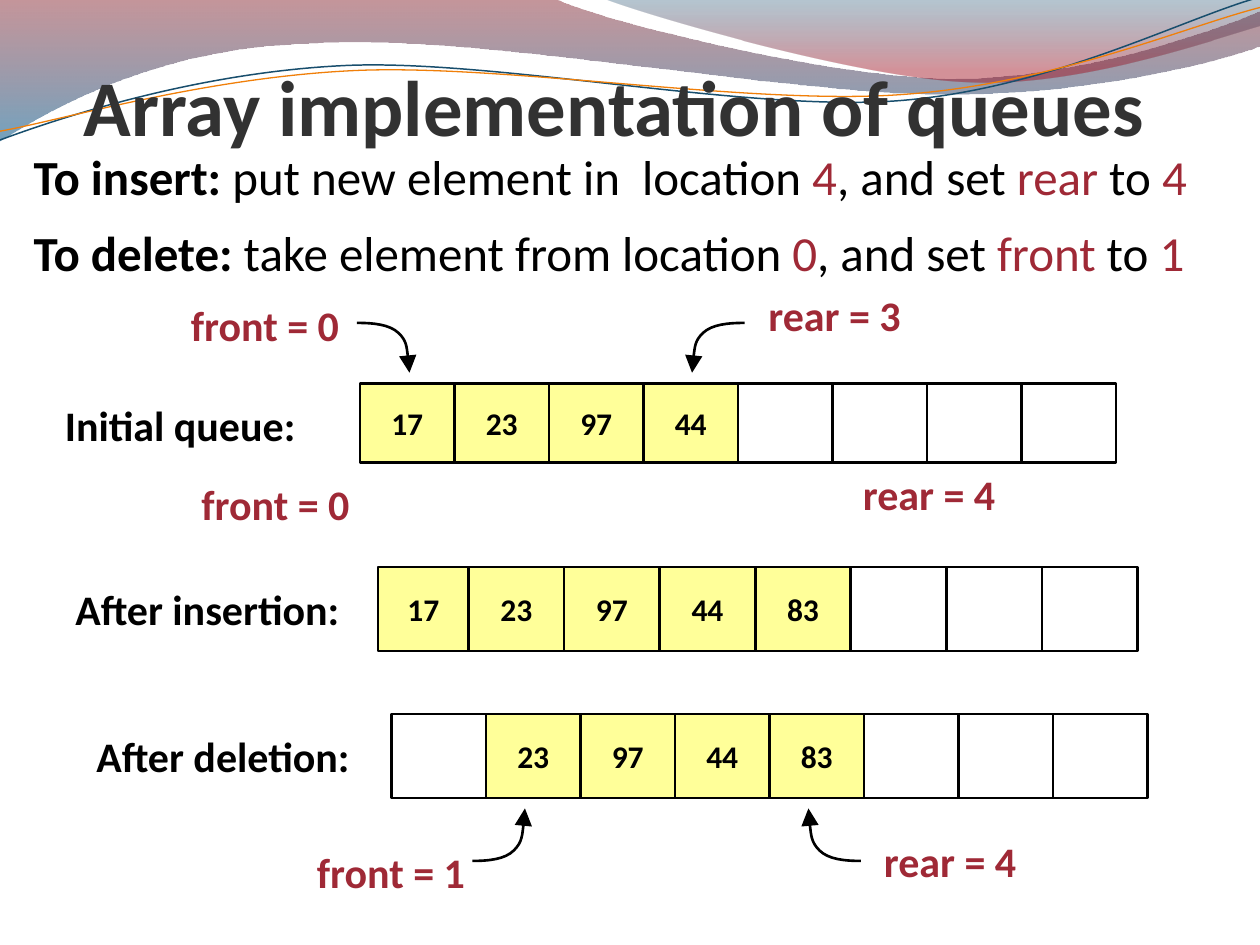
"""Build a slide on the array implementation of queues."""
from dataclasses import dataclass

from lxml import etree
from pptx import Presentation
from pptx.dml.color import RGBColor
from pptx.enum.shapes import MSO_SHAPE
from pptx.enum.text import MSO_ANCHOR, MSO_AUTO_SIZE, PP_ALIGN
from pptx.oxml.ns import qn
from pptx.util import Pt

RECT = MSO_SHAPE.RECTANGLE
BOTTOM, MIDDLE = MSO_ANCHOR.BOTTOM, MSO_ANCHOR.MIDDLE
LEFT, CENTER = PP_ALIGN.LEFT, PP_ALIGN.CENTER
NO_FIT = MSO_AUTO_SIZE.NONE

BLACK = RGBColor(0x00, 0x00, 0x00)
GREY = RGBColor(0x32, 0x32, 0x32)
RED = RGBColor(0x9F, 0x29, 0x36)
YELLOW = RGBColor(0xFF, 0xFF, 0x99)
MAROON = RGBColor(0x7E, 0x16, 0x21)
BLUE = RGBColor(0x00, 0x56, 0x89)
NAVY = RGBColor(0x09, 0x44, 0x67)
CRIMSON = RGBColor(0xA1, 0x0F, 0x1F)
TEAL = RGBColor(0x18, 0x4E, 0x6D)
ORANGE = RGBColor(0xF0, 0x7F, 0x09)
FONT = "Calibri"


@dataclass
class Stop:
    position: float
    color: RGBColor
    alpha: int


@dataclass
class Wave:
    """A path of line (x, y) and cubic (x1, y1, x2, y2, x, y) steps."""
    start: tuple
    steps: list
    stops: tuple = ()
    color: RGBColor = BLACK
    width: float = 1.5


@dataclass
class Label:
    text: str
    x: float
    y: float
    w: float
    color: RGBColor = RED


@dataclass
class Queue:
    x: float
    y: float
    first_w: float
    w: float
    h: float
    values: tuple


@dataclass
class Arrow:
    x: float
    y: float
    dx: float
    dy: float


WAVES = [
    Wave((-0.6, 0), [(317, -0.7), (343, 12, 478, 45, 546, 45), (614, 45, 690, 19, 720, 6.5),
                     (720.7, 26), (708, 32, 626, 55, 537, 54),
                     (448, 54, 275, 20, 185, 24.5), (93, 26, 33, 60, -0.6, 81)],
         (Stop(0, MAROON, 45), Stop(1, BLUE, 55))),
    Wave((345, -0.6), [(366, 8, 491, 45, 554, 47), (616, 50, 692, 23, 720, 15), (720, 0)],
         (Stop(0, NAVY, 30), Stop(0.8, CRIMSON, 45))),
    Wave((0, 80), [(35, 67, 114, 41, 199, 37.4), (284, 34, 427, 64, 513, 57.6),
                   (600, 51, 675, 11, 719, -1.4)], color=TEAL, width=0.85),
    Wave((0, 75), [(34, 69, 118, 44, 204, 40.3), (290, 36.7, 430, 60.5, 516, 54),
                   (602, 48, 678, 15, 720, 4.3)], color=ORANGE, width=0.75),
]
QUEUES = [
    Queue(205.7, 219, 54, 54, 45.4, ("17", "23", "97", "44", "", "", "", "")),
    Queue(216, 324, 51.8, 54.6, 48, ("17", "23", "97", "44", "83", "", "", "")),
    Queue(223.7, 408, 54, 54, 48, ("", "23", "97", "44", "83", "", "", "")),
]
LABELS = [
    Label("Initial queue:", 30, 225, 162, BLACK),
    Label("After insertion:", 36, 330, 180, BLACK),
    Label("After deletion:", 48, 414, 168, BLACK),
    Label("front = 0", 102, 167.7, 102),
    Label("rear = 3", 432, 162, 132),
    Label("front = 0", 108, 270, 102),
    Label("rear = 4", 486, 264, 92),
    Label("front = 1", 174, 480, 102),
    Label("rear = 4", 498, 474, 132),
]
ARROWS = [Arrow(204, 184.5, 30, 28.5), Arrow(425.5, 184.5, -30, 28.5),
          Arrow(270, 492, 30, -30), Arrow(492, 492, -30, -30)]
RULES = [
    [("To insert:", BLACK), (" put new element in  location", BLACK), (" 4", RED),
     (", and set ", BLACK), ("rear", RED), (" to ", BLACK), ("4", RED)],
    [("To delete:", BLACK), (" take element from location ", BLACK), ("0", RED),
     (", and set ", BLACK), ("front", RED), (" to ", BLACK), ("1", RED)],
]


def style(r, size: float, color: RGBColor, bold: bool = True) -> None:
    f = r.font
    f.name, f.size, f.bold, f.color.rgb = FONT, Pt(size), bold, color


def place(sp, x: float, y: float, w: float, h: float) -> None:
    sp.left, sp.top, sp.width, sp.height = Pt(x), Pt(y), Pt(w), Pt(h)


def bend(sp, steps: list) -> None:
    """Merge the three segments of each cubic step into one Bezier curve."""
    outline = sp.element.spPr.find(".//" + qn("a:path"))
    segments = iter(outline.findall(qn("a:lnTo")))
    for step in steps:
        group = [next(segments) for _ in range(len(step) // 2)]
        if len(group) == 1:
            continue
        cubic = etree.Element(qn("a:cubicBezTo"))
        group[0].addprevious(cubic)
        for ln in group:
            cubic.append(ln[0])
            outline.remove(ln)


def draw_wave(s, wave: Wave):
    pts = [(Pt(x), Pt(y)) for step in wave.steps for x, y in zip(step[::2], step[1::2])]
    fb = s.shapes.build_freeform(Pt(wave.start[0]), Pt(wave.start[1]))
    fb.add_line_segments(pts, close=bool(wave.stops))
    sp = fb.convert_to_shape()
    bend(sp, wave.steps)
    sp.shadow.inherit = False
    if not wave.stops:
        sp.fill.background()
        sp.line.color.rgb, sp.line.width = wave.color, Pt(wave.width)
        return sp
    sp.fill.gradient()
    sp.fill.gradient_angle = 270
    for gs, stop in zip(sp.fill.gradient_stops, wave.stops):
        gs.position, gs.color.rgb = stop.position, stop.color
    for clr, stop in zip(sp.element.spPr.iter(qn("a:srgbClr")), wave.stops):
        etree.SubElement(clr, qn("a:alpha"), val=str(stop.alpha * 1000))
    sp.line.fill.background()
    return sp


def draw_arrow(s, a: Arrow) -> None:
    bends = [(.31, 0, .62, .03, .79, .2), (.95, .36, .98, .68, 1, 1)]
    steps = [tuple(a.y + v * a.dy if i % 2 else a.x + v * a.dx
                   for i, v in enumerate(b)) for b in bends]
    sp = draw_wave(s, Wave((a.x, a.y), steps))
    etree.SubElement(sp.line._get_or_add_ln(), qn("a:tailEnd"),
                     type="triangle", w="lg", len="lg")


def draw_queue(s, q: Queue) -> None:
    x, w = q.x, q.first_w
    for value in q.values:
        sp = s.shapes.add_shape(RECT, Pt(x), Pt(q.y), Pt(w), Pt(q.h))
        x, w = x + w, q.w
        sp.shadow.inherit = False
        sp.line.color.rgb, sp.line.width = BLACK, Pt(1.5)
        if not value:
            sp.fill.background()
            continue
        sp.fill.solid()
        sp.fill.fore_color.rgb = YELLOW
        tf = sp.text_frame
        tf.text, tf.word_wrap, tf.vertical_anchor = value, False, MIDDLE
        p = tf.paragraphs[0]
        p.alignment = CENTER
        style(p.runs[0], 18, BLACK)


def draw_label(s, label: Label) -> None:
    tf = s.shapes.add_textbox(Pt(label.x), Pt(label.y), Pt(label.w), Pt(36)).text_frame
    tf.text, tf.word_wrap = label.text, True
    style(tf.paragraphs[0].runs[0], 24, label.color)


def fill_title(sp) -> None:
    place(sp, 48, 30, 613.5, 57)
    tf = sp.text_frame
    tf.text, tf.vertical_anchor, tf.auto_size = "Array implementation of queues", BOTTOM, NO_FIT
    tf.margin_left = tf.margin_right = tf.margin_bottom = 0
    tf.paragraphs[0].alignment = LEFT
    style(tf.paragraphs[0].runs[0], 45, GREY)


def fill_rules(sp) -> None:
    place(sp, 12, 84, 686, 81.5)
    tf = sp.text_frame
    tf.auto_size = NO_FIT
    for i, rule in enumerate(RULES):
        p = tf.add_paragraph() if i else tf.paragraphs[0]
        pPr = p._p.get_or_add_pPr()
        pPr.set("marL", "0")
        pPr.set("indent", "0")
        etree.SubElement(pPr, qn("a:buNone"))
        p.line_spacing, p.space_before = 0.9, Pt(13 * i)
        for j, (text, color) in enumerate(rule):
            r = p.add_run()
            r.text = text
            style(r, 28, color, j == 0)


def main() -> None:
    prs = Presentation()
    prs.slide_width, prs.slide_height = Pt(720), Pt(540)
    s = prs.slides.add_slide(prs.slide_layouts[1])
    title, body = s.placeholders
    for wave in WAVES:
        draw_wave(s, wave)
    for sp, fill in ((title, fill_title), (body, fill_rules)):
        s.shapes.element.append(sp.element)
        fill(sp)
    for draw, items in ((draw_queue, QUEUES), (draw_label, LABELS), (draw_arrow, ARROWS)):
        for item in items:
            draw(s, item)
    prs.save("out.pptx")


if __name__ == "__main__":
    main()
